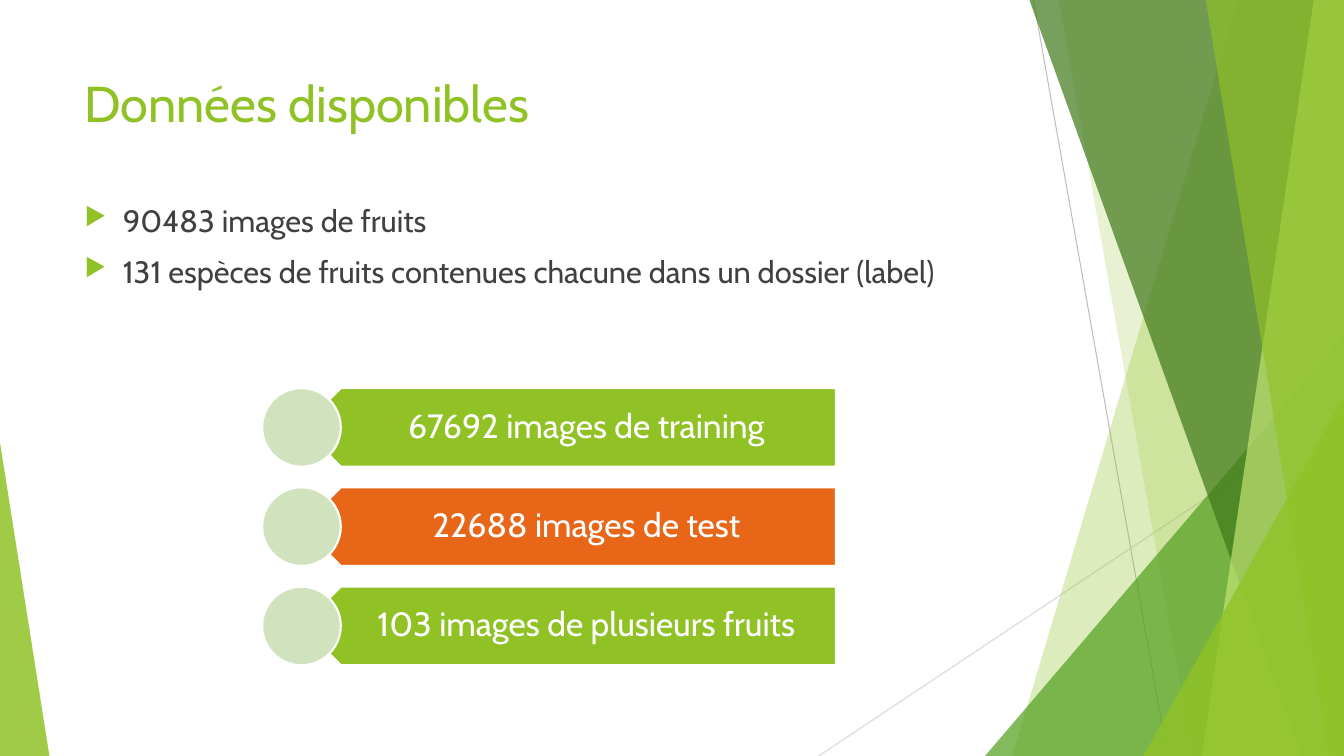
from lxml import etree
from pptx import Presentation
from pptx.dml.color import RGBColor
from pptx.enum.shapes import MSO_CONNECTOR, MSO_SHAPE
from pptx.enum.text import MSO_ANCHOR, PP_ALIGN
from pptx.oxml.ns import qn
from pptx.util import Inches, Pt

STRAIGHT = MSO_CONNECTOR.STRAIGHT
TRIANGLE = MSO_SHAPE.ISOSCELES_TRIANGLE
ARROW = MSO_SHAPE.PENTAGON
CIRCLE = MSO_SHAPE.OVAL
MIDDLE, TOP = MSO_ANCHOR.MIDDLE, MSO_ANCHOR.TOP
CENTER, LEFT = PP_ALIGN.CENTER, PP_ALIGN.LEFT

FONT = "Cabin"
WIDTH, HEIGHT = 13.33, 7.5
GREEN, ORANGE, PALE, WHITE, DARK = "90C226", "E76618", "D1E3BE", "FFFFFF", "404040"


def color(value):
    """Turn a hex string into a colour."""
    return RGBColor.from_string(value)


def paint(shape, fill, opacity=100, border=None):
    """Fill a shape, with optional transparency and border."""
    shape.shadow.inherit = False
    shape.fill.solid()
    shape.fill.fore_color.rgb = color(fill)
    if opacity < 100:
        tint = shape.fill._xPr.find(qn("a:solidFill"))[0]
        etree.SubElement(tint, qn("a:alpha"), val=str(opacity * 1000))
    if border:
        shape.line.color.rgb = color(border)
        shape.line.width = Pt(1.5)
    else:
        shape.line.fill.background()


def add_preset(page, kind, box, fill, opacity=100, border=None):
    """Place a painted preset shape in a box."""
    shape = page.shapes.add_shape(kind, *map(Inches, box))
    paint(shape, fill, opacity, border)
    return shape


def add_corner(page, box, apex, fill, opacity):
    """Place a right triangle whose apex is at one side of the box."""
    add_preset(page, TRIANGLE, box, fill, opacity).adjustments[0] = apex


def add_band(page, top_x, bottom_x, fill, opacity):
    """Fill the area from a slanted edge to the right side of the page."""
    corners = [(WIDTH, 0), (WIDTH, HEIGHT), (bottom_x, HEIGHT)]
    builder = page.shapes.build_freeform(Inches(top_x), 0)
    builder.add_line_segments([(Inches(x), Inches(y)) for x, y in corners], close=True)
    paint(builder.convert_to_shape(), fill, opacity)


def add_thin_line(page, ends, stroke):
    """Draw a thin straight line."""
    line = page.shapes.add_connector(STRAIGHT, *map(Inches, ends))
    line.line.color.rgb = color(stroke)
    line.line.width = Pt(0.75)
    etree.SubElement(line._element.spPr, qn("a:effectLst"))


def add_text(page, box, lines, size, fill, align=LEFT, anchor=TOP,
             insets=(0.1, 0.05, 0.1, 0.05)):
    """Write lines in a text box and return its paragraphs."""
    frame = page.shapes.add_textbox(*map(Inches, box)).text_frame
    frame.word_wrap = True
    frame.vertical_anchor = anchor
    (frame.margin_left, frame.margin_top,
     frame.margin_right, frame.margin_bottom) = map(Inches, insets)
    frame.text = "\n".join(lines)
    for para in frame.paragraphs:
        para.alignment = align
        para.font.name = FONT
        para.font.size = Pt(size)
        para.font.color.rgb = color(fill)
    return frame.paragraphs


def add_bullet(para):
    """Give a paragraph a green arrow bullet with a hanging indent."""
    para.space_before = Pt(10)
    props = para._p.get_or_add_pPr()
    props.set("marL", str(Inches(0.38)))
    props.set("indent", str(-Inches(0.38)))
    defaults = props.find(qn("a:defRPr"))
    tint = etree.Element(qn("a:buClr"))
    etree.SubElement(tint, qn("a:srgbClr"), val=GREEN)
    scale = etree.Element(qn("a:buSzPct"), val="80000")
    mark = etree.Element(qn("a:buChar"), char="▶")
    for item in (tint, scale, mark):
        defaults.addprevious(item)


def add_backdrop(page):
    """Draw the green facets at the page edges."""
    add_thin_line(page, (10.25, 0, 11.58, HEIGHT), "BFBFBF")
    add_thin_line(page, (WIDTH, 4.03, 8.12, HEIGHT), "D9D9D9")
    add_band(page, 12.28, 10.04, GREEN, 30)
    add_band(page, 10.5, 11.83, GREEN, 20)
    add_corner(page, (9.77, 3.33, 3.56, 4.17), 1, "54A021", 72)
    add_band(page, 10.21, 12.91, "3F7819", 70)
    add_band(page, 13.03, 11.92, "C0E474", 70)
    add_band(page, 11.96, 13.18, GREEN, 65)
    add_corner(page, (11.34, 3.93, 1.99, 3.57), 1, GREEN, 80)
    add_corner(page, (0, 4.39, 0.49, 3.11), 0, GREEN, 85)


def add_bullets(page, box, lines):
    """Write a bulleted list."""
    for para in add_text(page, box, lines, 22, DARK):
        add_bullet(para)


def add_dataset_row(page, box, label, fill):
    """Draw a left-pointing bar with its label and a circle at the tip."""
    left, top, width, height = box
    radius = height / 2
    bar = add_preset(page, ARROW, (left + radius, top, width - radius, height),
                     fill, border=WHITE)
    bar.rotation = 180
    inset = 0.58
    para, = add_text(page, (left + inset, top, width - inset, height), [label], 24,
                     WHITE, CENTER, MIDDLE, (0.35, 0.1, 0.19, 0.1))
    para.line_spacing = 0.9
    add_preset(page, CIRCLE, (left, top, height, height), PALE, border=WHITE)


def add_datasets(page, box, rows, row_height):
    """Stack the dataset rows evenly in a box."""
    left, top, width, height = box
    step = (height - row_height) / (len(rows) - 1)
    for index, (label, fill) in enumerate(rows):
        add_dataset_row(page, (left, top + index * step, width, row_height), label, fill)


def main():
    """Build and save the deck."""
    deck = Presentation()
    deck.slide_width, deck.slide_height = Inches(WIDTH), Inches(HEIGHT)
    page = deck.slides.add_slide(deck.slide_layouts[6])
    add_backdrop(page)
    add_text(page, (0.74, 0.67, 9.4, 1.2), ["Données disponibles"], 36, GREEN)
    add_bullets(page, (0.74, 1.95, 9.4, 1.5), [
        "90483 images de fruits",
        "131 espèces de fruits contenues chacune dans un dossier (label)",
    ])
    add_datasets(page, (2.6, 3.85, 5.69, 2.75), [
        ("67692 images de training", GREEN),
        ("22688 images de test", ORANGE),
        ("103 images de plusieurs fruits", GREEN),
    ], 0.78)
    deck.save("out.pptx")


if __name__ == "__main__":
    main()
